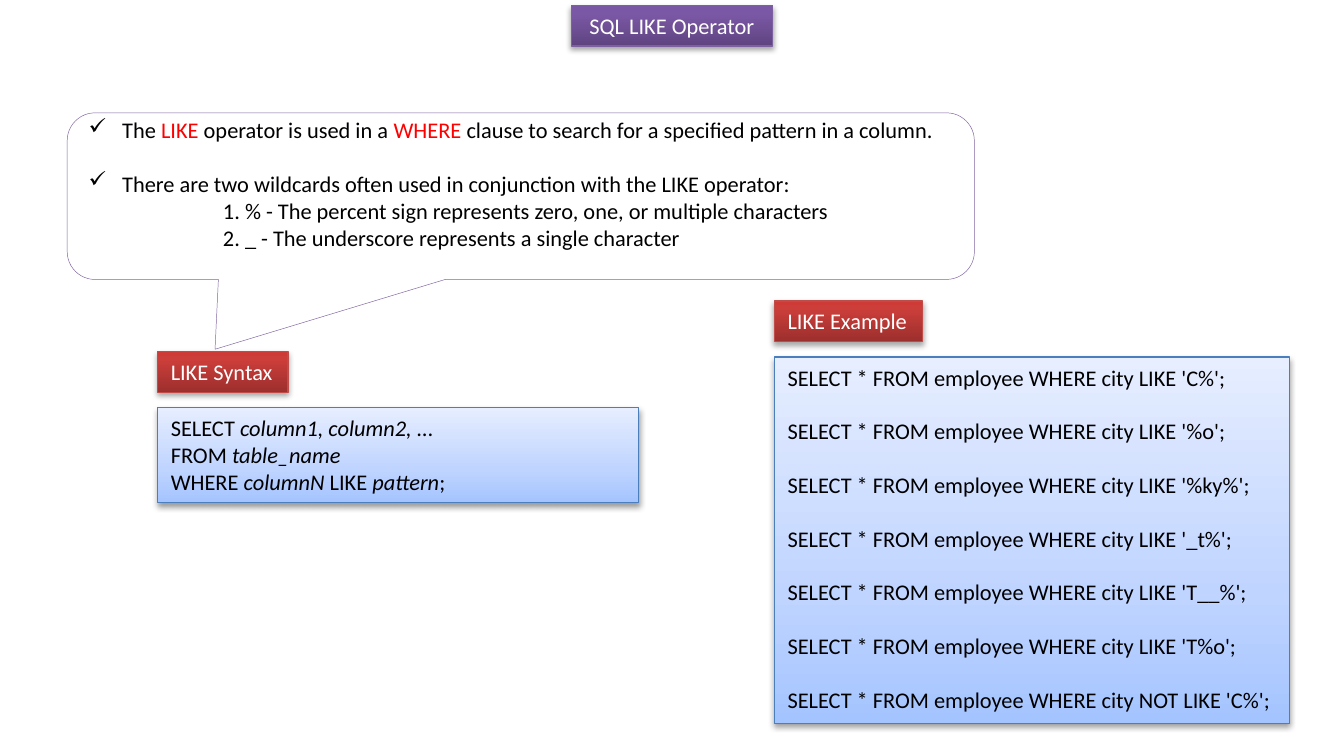
from dataclasses import dataclass
from lxml.etree import SubElement as Sub
from pptx import Presentation
from pptx.dml.color import RGBColor as RGB
from pptx.enum.shapes import MSO_SHAPE as Kind
from pptx.enum.text import MSO_ANCHOR as Anchor, MSO_AUTO_SIZE as Auto, PP_ALIGN as Align
from pptx.oxml.ns import qn
from pptx.util import Pt


@dataclass(frozen=True)
class Look:
    stops: tuple
    edge: str
    ink: str
    shade: int
    drop: float


@dataclass(frozen=True)
class Theme:
    font: str = "Calibri"
    size: float = 12
    row: float = 14.4
    ink: str = "000000"
    key: str = "FF0000"
    paper: str = "FFFFFF"
    edge: str = "8064A2"
    head: Look = Look(((0, "5F4480"), (80, "7B58A6"), (100, "7C57A8")), "7D60A0", "FFFFFF", 35, 1.8)
    label: Look = Look(((0, "9C2F2D"), (80, "CB3E3A"), (100, "CE3B37")), "BF4C48", "FFFFFF", 35, 1.8)
    code: Look = Look(((0, "A4C4FF"), (35, "BFD4FF"), (100, "E6EEFF")), "4B7EBC", "000000", 38, 1.6)


THEME = Theme()
PLAIN, KEY, SLANT = "plain", "key", "slant"

TITLE = "SQL LIKE Operator"
POINTS = [
    [("The ", PLAIN), ("LIKE", KEY), (" operator is used in a ", PLAIN), ("WHERE", KEY),
     (" clause to search for a specified pattern in a column.", PLAIN)],
    [("There are two wildcards often used in conjunction with the LIKE operator:", PLAIN)],
]
CARDS = [
    "1. % - The percent sign represents zero, one, or multiple characters",
    "2. _ - The underscore represents a single character",
]
SYNTAX = [
    [("SELECT ", PLAIN), ("column1, column2, ...", SLANT)],
    [("FROM ", PLAIN), ("table_name", SLANT)],
    [("WHERE ", PLAIN), ("columnN", SLANT), (" LIKE ", PLAIN), ("pattern", SLANT), (";", PLAIN)],
]
TESTS = ["LIKE 'C%'", "LIKE '%o'", "LIKE '%ky%'", "LIKE '_t%'", "LIKE 'T__%'", "LIKE 'T%o'", "NOT LIKE 'C%'"]
HEAD_BOX = (306, 2.9, 108, 21.8)
NOTE_BOX = (36, 60.5, 486, 89.3)
PANELS = [
    ("LIKE Syntax", 84.4, 188.4, 70, 257.8, 50.9),
    ("LIKE Example", 414.8, 161.2, 79.5, 276, 196.3),
]
LABEL_TALL, STEP = 21.8, 30.1


def place(shape, box):
    shape.left, shape.top, shape.width, shape.height = (Pt(v) for v in box)


def paint(shape, look):
    shape.fill.gradient()
    shape.fill.gradient_angle = 90
    props = shape._element.spPr
    stops = props.find(qn("a:gradFill")).find(qn("a:gsLst"))
    for old in list(stops):
        stops.remove(old)
    for spot, tint in look.stops:
        stop = Sub(stops, qn("a:gs"), pos=str(spot * 1000))
        Sub(stop, qn("a:srgbClr"), val=tint)
    shape.line.color.rgb = RGB.from_string(look.edge)
    shape.line.width = Pt(0.75)
    shape.shadow.inherit = False
    glow = Sub(props.find(qn("a:effectLst")), qn("a:outerShdw"), blurRad=str(Pt(3.1)),
               dist=str(Pt(look.drop)), dir="5400000", rotWithShape="0")
    tone = Sub(glow, qn("a:srgbClr"), val="000000")
    Sub(tone, qn("a:alpha"), val=str(look.shade * 1000))


def frame(shape, wrap=True, anchor=Anchor.TOP, top=3.6, base=3.6, auto=Auto.SHAPE_TO_FIT_TEXT):
    text = shape.text_frame
    text.word_wrap, text.auto_size, text.vertical_anchor = wrap, auto, anchor
    text.margin_left = text.margin_right = Pt(7.2)
    text.margin_top, text.margin_bottom = Pt(top), Pt(base)
    return text


def write(para, runs, ink=THEME.ink):
    for words, mark in runs:
        run = para.add_run()
        run.text = words
        font = run.font
        font.name, font.size = THEME.font, Pt(THEME.size)
        font.italic = mark == SLANT
        font.color.rgb = RGB.from_string(THEME.key if mark == KEY else ink)


def start(text, index, gap=0, align=Align.LEFT):
    para = text.add_paragraph() if index else text.paragraphs[0]
    para.alignment = align
    if index and gap:
        para.space_before = Pt(gap)
    return para


def indent(para, left, hang=0, mark=None):
    props = para._p.get_or_add_pPr()
    props.set("marL", str(Pt(left)))
    props.set("indent", str(Pt(-hang)))
    if mark:
        Sub(props, qn("a:buChar"), char=mark)


def add_box(slide, box, look):
    shape = slide.shapes.add_shape(Kind.RECTANGLE, *(Pt(v) for v in box))
    paint(shape, look)
    return shape


def add_head(slide):
    shape = slide.shapes.title
    place(shape, HEAD_BOX)
    paint(shape, THEME.head)
    para = start(frame(shape, auto=Auto.NONE), 0, align=Align.CENTER)
    write(para, [(TITLE, PLAIN)], THEME.head.ink)


def add_panel(slide, name, left, top, wide, span, tall):
    text = frame(add_box(slide, (left, top + STEP, span, tall), THEME.code))
    label = add_box(slide, (left, top, wide, LABEL_TALL), THEME.label)
    write(start(frame(label, wrap=False), 0), [(name, PLAIN)], THEME.label.ink)
    return text


def add_note(slide):
    shape = slide.shapes.add_shape(Kind.ROUNDED_RECTANGULAR_CALLOUT, *(Pt(v) for v in NOTE_BOX))
    for index, value in enumerate((-0.337, 0.919, 0.167)):
        shape.adjustments[index] = value
    shape.shadow.inherit = False
    shape.fill.solid()
    shape.fill.fore_color.rgb = RGB.from_string(THEME.paper)
    shape.line.color.rgb = RGB.from_string(THEME.edge)
    shape.line.width = Pt(0.25)
    text = frame(shape, anchor=Anchor.MIDDLE, top=0, base=13.5, auto=Auto.NONE)
    for index, runs in enumerate(POINTS):
        para = start(text, index, THEME.row)
        indent(para, 18, 18, "✓")
        write(para, runs)
    for words in CARDS:
        para = start(text, len(POINTS))
        indent(para, 72)
        write(para, [(words, PLAIN)])


def main():
    deck = Presentation()
    deck.slide_width, deck.slide_height = Pt(720), Pt(396)
    slide = deck.slides.add_slide(deck.slide_layouts[5])
    add_head(slide)
    syntax, sample = [add_panel(slide, *panel) for panel in PANELS]
    para = start(syntax, 0)
    for index, runs in enumerate(SYNTAX):
        if index:
            para.add_line_break()
        write(para, runs)
    for index, test in enumerate(TESTS):
        write(start(sample, index, THEME.row), [(f"SELECT * FROM employee WHERE city {test};", PLAIN)])
    add_note(slide)
    deck.save("out.pptx")


if __name__ == "__main__":
    main()
